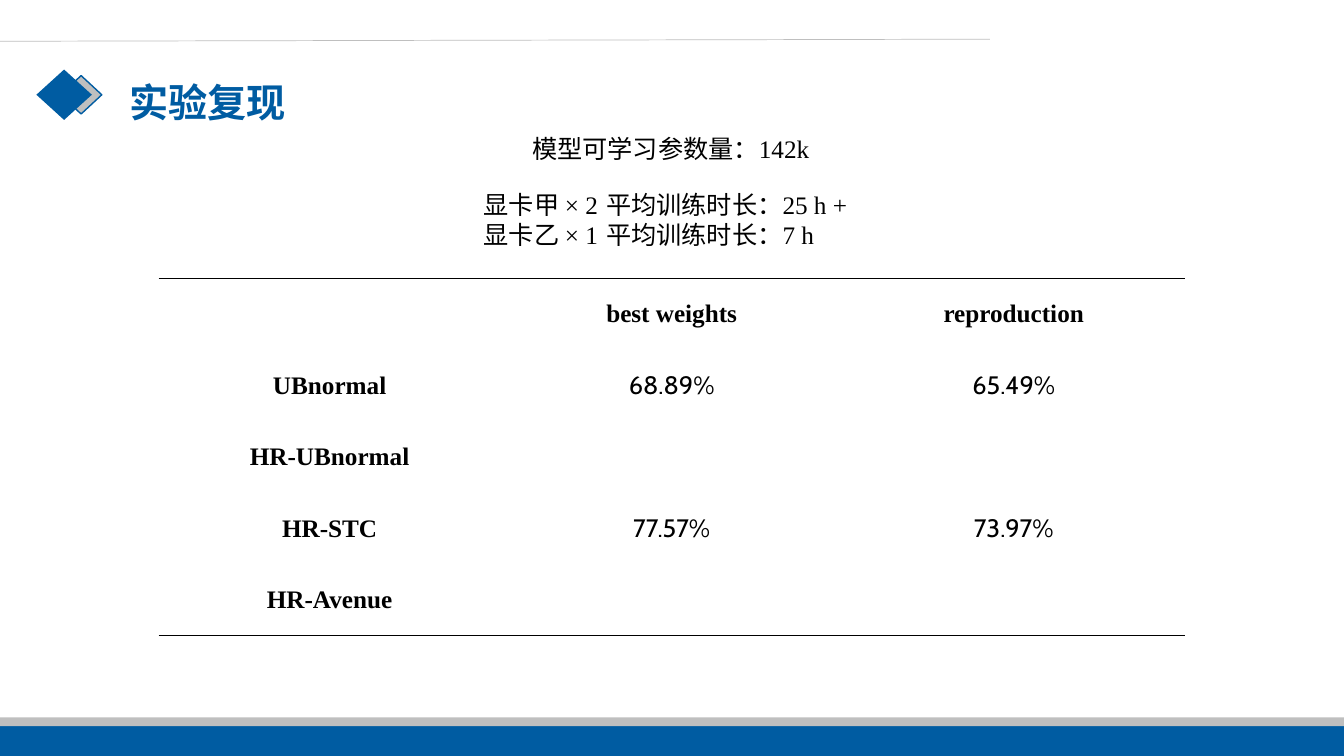
from lxml.etree import SubElement
from pptx import Presentation
from pptx.dml.color import RGBColor
from pptx.enum.shapes import MSO_CONNECTOR, MSO_SHAPE
from pptx.enum.text import MSO_ANCHOR, MSO_AUTO_SIZE, PP_ALIGN
from pptx.oxml import parse_xml
from pptx.oxml.ns import nsdecls, qn
from pptx.util import Pt

BLUE, GREY, BLACK, WHITE = "005CA2", "BFBFBF", "000000", "FFFFFF"
SANS, SERIF = "Cabin", "Times New Roman"
TITLE_ONLY = 5
RESULTS = [
    ("", "best weights", "reproduction"),
    ("UBnormal", "68.89%", "65.49%"),
    ("HR-UBnormal", "", ""),
    ("HR-STC", "77.57%", "73.97%"),
    ("HR-Avenue", "", ""),
]


def rgb(color):
    return RGBColor.from_string(color)


def place(shape, left, top, width, height):
    shape.left, shape.top = Pt(left), Pt(top)
    shape.width, shape.height = Pt(width), Pt(height)


def add_run(paragraph, text, font, size=18, color=BLACK, bold=False):
    run = paragraph.add_run()
    run.text = text
    run.font.name = font
    run.font.size = Pt(size)
    run.font.bold = bold
    run.font.color.rgb = rgb(color)


def add_block(slide, kind, box, fill, outline=None):
    block = slide.shapes.add_shape(kind, *map(Pt, box))
    block.shadow.inherit = False
    block.fill.solid()
    block.fill.fore_color.rgb = rgb(fill)
    if outline:
        block.line.color.rgb = rgb(outline)
        block.line.width = Pt(1)
    else:
        block.line.fill.background()


def add_rule(slide, start, end):
    rule = slide.shapes.add_connector(MSO_CONNECTOR.STRAIGHT, *map(Pt, start + end))
    rule.line.color.rgb = rgb(GREY)
    rule.line.width = Pt(0.5)
    SubElement(rule._element.spPr, qn("a:effectLst"))


def add_title(slide, text):
    title = slide.shapes.title
    place(title, 85, 52, 354, 34.5)
    frame = title.text_frame
    frame.auto_size = MSO_AUTO_SIZE.NONE
    frame.vertical_anchor = MSO_ANCHOR.TOP
    heading = frame.paragraphs[0]
    heading.alignment = PP_ALIGN.LEFT
    add_run(heading, text, SANS, 28, BLUE, bold=True)


def add_note(slide, box, lines, tab=None):
    """Add a text box; each line is a list of (text, font) runs."""
    note = slide.shapes.add_textbox(*map(Pt, box))
    frame = note.text_frame
    frame.word_wrap = True
    frame.auto_size = MSO_AUTO_SIZE.SHAPE_TO_FIT_TEXT
    for index, runs in enumerate(lines):
        paragraph = frame.add_paragraph() if index else frame.paragraphs[0]
        if tab:
            stops = SubElement(paragraph._p.get_or_add_pPr(), qn("a:tabLst"))
            SubElement(stops, qn("a:tab"), pos=str(Pt(tab)), algn="l")
        for text, font in runs:
            add_run(paragraph, text, font)


def set_borders(cell, ruled_side):
    """Rule one side of the cell in black and clear the other sides."""
    black = f'<a:solidFill><a:srgbClr val="{BLACK}"/></a:solidFill>'
    properties = cell._tc.get_or_add_tcPr()
    for index, side in enumerate(("lnL", "lnR", "lnT", "lnB")):
        stroke = black if side == ruled_side else "<a:noFill/>"
        border = f'<a:{side} {nsdecls("a")} w="{Pt(1)}">{stroke}</a:{side}>'
        properties.insert(index, parse_xml(border))


def add_results(slide, rows, left, top, width, row_height):
    ruled_sides = {0: "lnT", len(rows) - 1: "lnB"}
    frame = slide.shapes.add_table(
        len(rows), len(rows[0]), Pt(left), Pt(top), Pt(width), Pt(row_height * len(rows))
    )
    table = frame.table
    table.first_row = table.horz_banding = False
    for r, row in enumerate(rows):
        for c, text in enumerate(row):
            cell = table.cell(r, c)
            cell.vertical_anchor = MSO_ANCHOR.MIDDLE
            cell.fill.solid()
            cell.fill.fore_color.rgb = rgb(WHITE)
            set_borders(cell, ruled_sides.get(r))
            if text:
                is_label = r == 0 or c == 0
                paragraph = cell.text_frame.paragraphs[0]
                paragraph.alignment = PP_ALIGN.CENTER
                add_run(paragraph, text, SERIF if is_label else SANS, bold=is_label)


def main():
    deck = Presentation()
    deck.slide_width, deck.slide_height = Pt(960), Pt(540)
    slide = deck.slides.add_slide(deck.slide_layouts[TITLE_ONLY])

    add_block(slide, MSO_SHAPE.DIAMOND, (43.2, 54, 29.5, 27.4), GREY, BLUE)
    add_block(slide, MSO_SHAPE.DIAMOND, (26, 49.7, 39.6, 36), BLUE)
    add_block(slide, MSO_SHAPE.RECTANGLE, (0, 518.4, 960, 21.6), BLUE)
    add_block(slide, MSO_SHAPE.RECTANGLE, (0, 512.4, 960, 6.3), GREY)
    add_rule(slide, (0, 29.5), (707, 28))
    add_title(slide, "实验复现")

    add_results(slide, RESULTS, 113.3, 198.7, 733, 51.1)
    training = [
        [("显卡甲 × 2\t平均训练时长：25 h +", SERIF)],
        [("显卡乙 × 1\t平均训练时长：7 h", SERIF)],
    ]
    add_note(slide, (338.4, 131.8, 283, 51), training, tab=87.5)
    parameters = [[("模型可学习参数量：", SANS), ("142k", SERIF)]]
    add_note(slide, (373, 91.4, 213.8, 29), parameters)

    deck.save("out.pptx")


if __name__ == "__main__":
    main()
